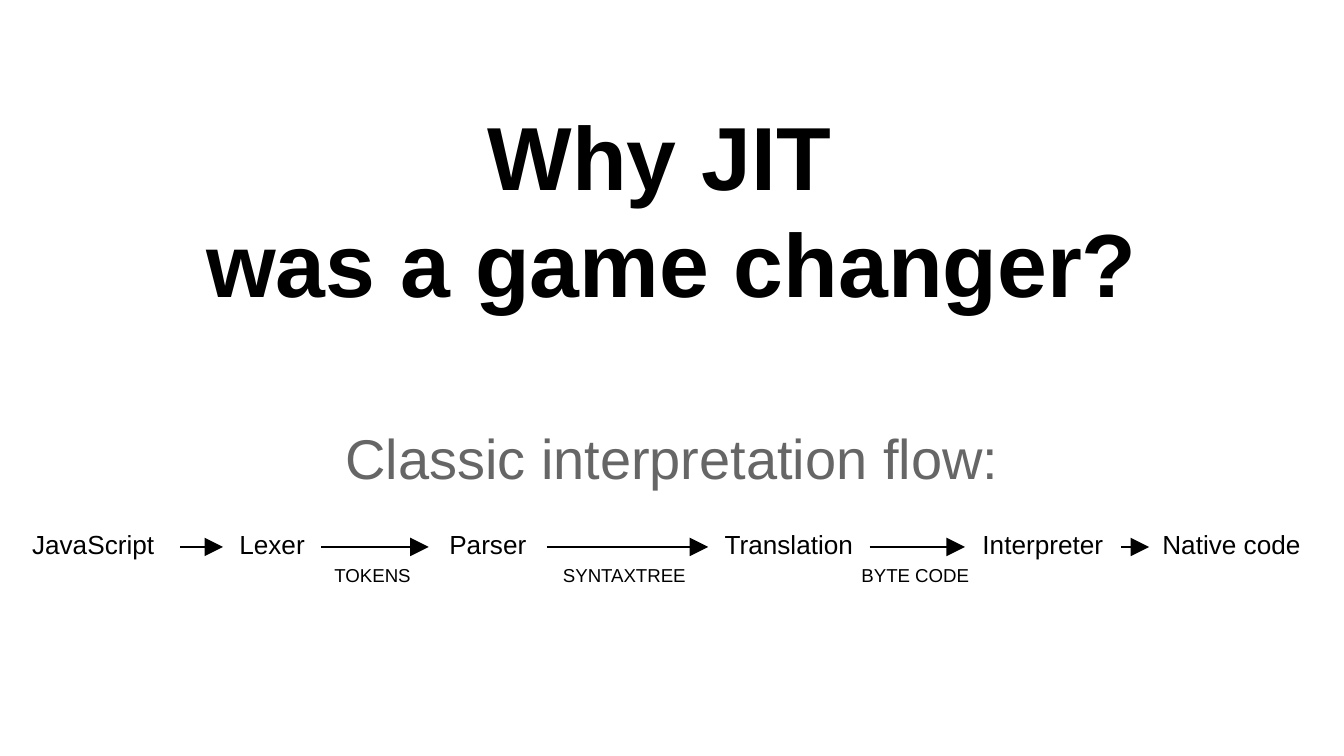
from dataclasses import dataclass
from itertools import pairwise

from lxml import etree
from pptx import Presentation, util as u
from pptx.dml.color import RGBColor
from pptx.enum import shapes, text
from pptx.oxml import ns


@dataclass(frozen=True)
class Theme:
    font: str = "Arial"
    ink: str = "000000"
    muted: str = "666666"
    title_size: int = 48
    subtitle_size: int = 30
    stage_size: int = 14
    product_size: int = 10
    arrow_width: float = 1.5
    inset: float = 0.1


@dataclass(frozen=True)
class Label:
    words: str
    left: float
    width: float
    centered: bool = True

    @property
    def right(self) -> float:
        return self.left + self.width


@dataclass(frozen=True)
class Style:
    size: int
    color: str
    bold: bool = False


THEME = Theme()
SLIDE_WIDTH = 10
STAGE_TOP, STAGE_HEIGHT = 3.83, 0.47
PRODUCT_TOP, PRODUCT_HEIGHT = 4.11, 0.41
ARROW_Y = 4.07

STAGES = [
    Label("JavaScript", 0.14, 1.2, centered=False),
    Label("Lexer", 1.66, 0.73),
    Label("Parser", 3.19, 0.88),
    Label("Translation", 5.27, 1.2),
    Label("Interpreter", 7.18, 1.16),
    Label("Native code", 8.55, 1.31, centered=False),
]
PRODUCTS = [
    Label("TOKENS", 2.39, 0.79, centered=False),
    Label("SYNTAXTREE", 3.9, 1.49),
    Label("BYTE CODE", 6.23, 1.16),
]


def draw_label(slide, label: Label, top: float, height: float, style: Style,
               anchor=text.MSO_ANCHOR.TOP, inset_top: float = THEME.inset,
               inset_bottom: float = THEME.inset) -> None:
    box = slide.shapes.add_textbox(u.Inches(label.left), u.Inches(top),
                                   u.Inches(label.width), u.Inches(height))
    frame = box.text_frame
    frame.word_wrap = True
    frame.vertical_anchor = anchor
    frame.margin_left = frame.margin_right = u.Inches(THEME.inset)
    frame.margin_top = u.Inches(inset_top)
    frame.margin_bottom = u.Inches(inset_bottom)
    for index, line in enumerate(label.words.split("\n")):
        paragraph = frame.add_paragraph() if index else frame.paragraphs[0]
        paragraph.alignment = text.PP_ALIGN.CENTER if label.centered else text.PP_ALIGN.LEFT
        run = paragraph.add_run()
        run.text = line
        run.font.name = THEME.font
        run.font.size = u.Pt(style.size)
        run.font.bold = style.bold
        run.font.color.rgb = RGBColor.from_string(style.color)


def draw_arrow(slide, start: float, end: float) -> None:
    arrow = slide.shapes.add_connector(
        shapes.MSO_CONNECTOR.STRAIGHT, u.Inches(start), u.Inches(ARROW_Y),
        u.Inches(end), u.Inches(ARROW_Y))
    arrow.line.width = u.Pt(THEME.arrow_width)
    arrow.line.color.rgb = RGBColor.from_string(THEME.ink)
    properties = arrow.element.spPr
    outline = properties.find(ns.qn("a:ln"))
    etree.SubElement(outline, ns.qn("a:tailEnd"), type="triangle", w="lg", len="lg")
    etree.SubElement(properties, ns.qn("a:effectLst"))


def build() -> None:
    deck = Presentation()
    deck.slide_width = u.Inches(SLIDE_WIDTH)
    deck.slide_height = u.Inches(SLIDE_WIDTH * 9 / 16)
    slide = deck.slides.add_slide(deck.slide_layouts[6])

    draw_label(slide, Label("Why JIT \nwas a game changer?", 0.75, 8.5), 1.98, 1.27,
               Style(THEME.title_size, THEME.ink, bold=True),
               anchor=text.MSO_ANCHOR.BOTTOM, inset_bottom=0.9)
    for stage in STAGES:
        draw_label(slide, stage, STAGE_TOP, STAGE_HEIGHT, Style(THEME.stage_size, THEME.ink))
    for product in PRODUCTS:
        draw_label(slide, product, PRODUCT_TOP, PRODUCT_HEIGHT,
                   Style(THEME.product_size, THEME.ink))
    for source, target in pairwise(STAGES):
        draw_arrow(slide, source.right, target.left)
    draw_label(slide, Label("Classic interpretation flow:", 0.75, 8.5), 2.59, 0.86,
               Style(THEME.subtitle_size, THEME.muted), inset_top=0.72)

    deck.save("out.pptx")


build()
